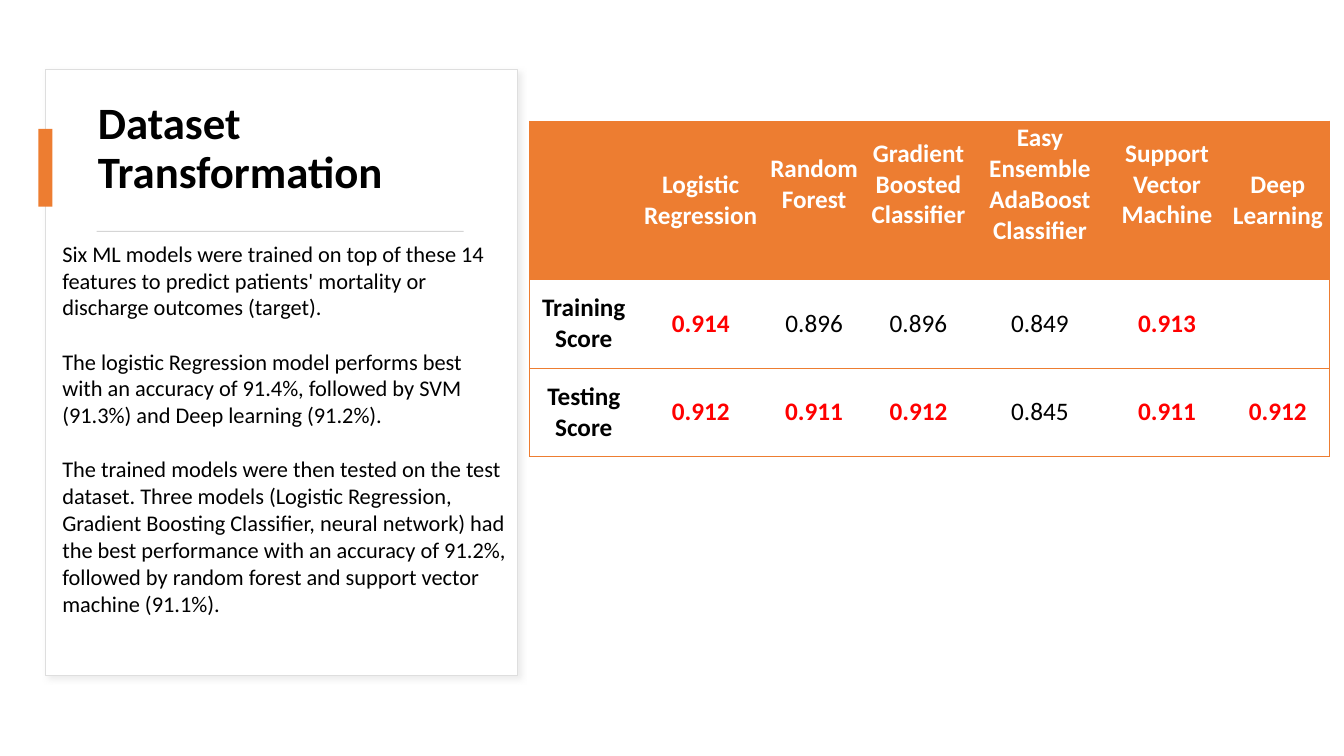
from lxml import etree
from pptx import Presentation
from pptx.dml.color import RGBColor
from pptx.enum.shapes import MSO_SHAPE
from pptx.enum.text import MSO_ANCHOR, PP_ALIGN
from pptx.oxml.ns import qn
from pptx.util import Inches, Pt

RECT = MSO_SHAPE.RECTANGLE
MID = MSO_ANCHOR.MIDDLE
LEFT, CENTER = PP_ALIGN.LEFT, PP_ALIGN.CENTER
FONT = "Calibri"
BLACK = RGBColor(0, 0, 0)
WHITE = RGBColor(255, 255, 255)
RED = RGBColor(255, 0, 0)
ORANGE = RGBColor(0xED, 0x7D, 0x31)
EDGE = RGBColor(0xDE, 0xDE, 0xDE)
RULE = RGBColor(0xD5, 0xD5, 0xD5)

TITLE = "Dataset Transformation"
NOTES = [
    "Six ML models were trained on top of these 14 features to predict patients' "
    "mortality or discharge outcomes (target).",
    "The logistic Regression model performs best with an accuracy of 91.4%, "
    "followed by SVM (91.3%) and Deep learning (91.2%).",
    "The trained models were then tested on the test dataset. Three models "
    "(Logistic Regression, Gradient Boosting Classifier, neural network) had the "
    "best performance with an accuracy of 91.2%, followed by random forest and "
    "support vector machine (91.1%).",
]
ROWS = [
    ["", "Logistic Regression", "Random Forest", "Gradient Boosted Classifier",
     "Easy Ensemble AdaBoost\nClassifier", "Support Vector Machine", "Deep Learning"],
    ["Training Score", "0.914", "0.896", "0.896", "0.849", "0.913", ""],
    ["Testing Score", "0.912", "0.911", "0.912", "0.845", "0.911", "0.912"],
]
WIDTHS = [1.08, 1.24, 1.01, 1.06, 1.35, 1.17, 1.03]
HEIGHTS = [1.55, 0.88, 0.88]
RAISED = range(2, 6)
BEST = 0.9


def box(at):
    return [Inches(n) for n in at]


def write(frame, lines, size, color, bold=False, align=LEFT, gap=0):
    for i, line in enumerate(lines):
        para = frame.paragraphs[0] if i == 0 else frame.add_paragraph()
        para.alignment = align
        para.space_before = Pt(0)
        para.space_after = Pt(gap if i < len(lines) - 1 else 0)
        run = para.add_run()
        run.text = line
        font = run.font
        font.name, font.size, font.bold = FONT, Pt(size), bold
        font.color.rgb = color


def block(slide, at, fill, edge=None):
    shape = slide.shapes.add_shape(RECT, *box(at))
    shape.shadow.inherit = False
    shape.fill.solid()
    shape.fill.fore_color.rgb = fill
    if edge:
        shape.line.color.rgb = edge
        shape.line.width = Pt(0.75)
    else:
        shape.line.fill.background()
    return shape


def shade(shape):
    glow = etree.SubElement(
        shape._element.spPr.find(qn("a:effectLst")), qn("a:outerShdw"),
        blurRad=str(Pt(4)), dist=str(Pt(3)), dir=str(45 * 60000))
    tint = etree.SubElement(glow, qn("a:srgbClr"), val="D9D9D9")
    etree.SubElement(tint, qn("a:alpha"), val="50000")


def border(cell, sides):
    props = cell._tc.get_or_add_tcPr()
    for i, side in enumerate("LRTB"):
        line = etree.Element(qn("a:ln" + side), w=str(Pt(0.5)))
        if side in sides:
            fill = etree.SubElement(line, qn("a:solidFill"))
            etree.SubElement(fill, qn("a:srgbClr"), val=str(ORANGE))
        else:
            etree.SubElement(line, qn("a:noFill"))
        props.insert(i, line)


def fill_cell(cell, text, row, col):
    cell.vertical_anchor = MID
    cell.margin_left = cell.margin_right = Inches(0.05)
    cell.margin_top = Inches(0.02)
    cell.margin_bottom = Inches(0.33 if row == 0 and col in RAISED else 0.02)
    if row == 0:
        cell.fill.solid()
        cell.fill.fore_color.rgb = ORANGE
        color, bold = WHITE, True
    else:
        cell.fill.background()
        best = col > 0 and text != "" and float(text) > BEST
        color, bold = (RED if best else BLACK), (best or col == 0)
    sides = "TB" + ("L" if col == 0 else "") + ("R" if col == len(WIDTHS) - 1 else "")
    border(cell, sides)
    if text:
        write(cell.text_frame, text.split("\n"), 18, color, bold, CENTER)


def add_scores(slide):
    at = (5.25, 1.2, sum(WIDTHS), sum(HEIGHTS))
    table = slide.shapes.add_table(len(ROWS), len(WIDTHS), *box(at)).table
    table.horz_banding = False
    for col, width in zip(table.columns, WIDTHS):
        col.width = Inches(width)
    for row, height in zip(table.rows, HEIGHTS):
        row.height = Inches(height)
    for r, row in enumerate(ROWS):
        for c, text in enumerate(row):
            fill_cell(table.cell(r, c), text, r, c)


def main():
    """Build the slide of model scores."""
    deck = Presentation()
    deck.slide_width, deck.slide_height = Inches(13.33), Inches(7.5)
    slide = deck.slides.add_slide(deck.slide_layouts[5])

    card = block(slide, (0.45, 0.69, 4.68, 6.01), WHITE, EDGE)
    shade(card)
    slide.shapes._spTree.insert(2, card._element)

    title = slide.shapes.title
    title.left, title.top, title.width, title.height = box((0.87, 0.88, 3.73, 1.21))
    title.text_frame.vertical_anchor = MID
    title.text_frame.word_wrap = True
    write(title.text_frame, [TITLE], 32, BLACK, True)
    title.text_frame.paragraphs[0].line_spacing = 0.9

    block(slide, (0.38, 1.28, 0.14, 0.77), ORANGE)
    block(slide, (0.96, 2.29, 3.64, 0.01), RULE)
    add_scores(slide)

    body = slide.shapes.add_textbox(*box((0.52, 2.33, 4.6, 3.87))).text_frame
    body.word_wrap = True
    write(body, NOTES, 16, BLACK, gap=19.5)
    deck.save("out.pptx")


if __name__ == "__main__":
    main()
